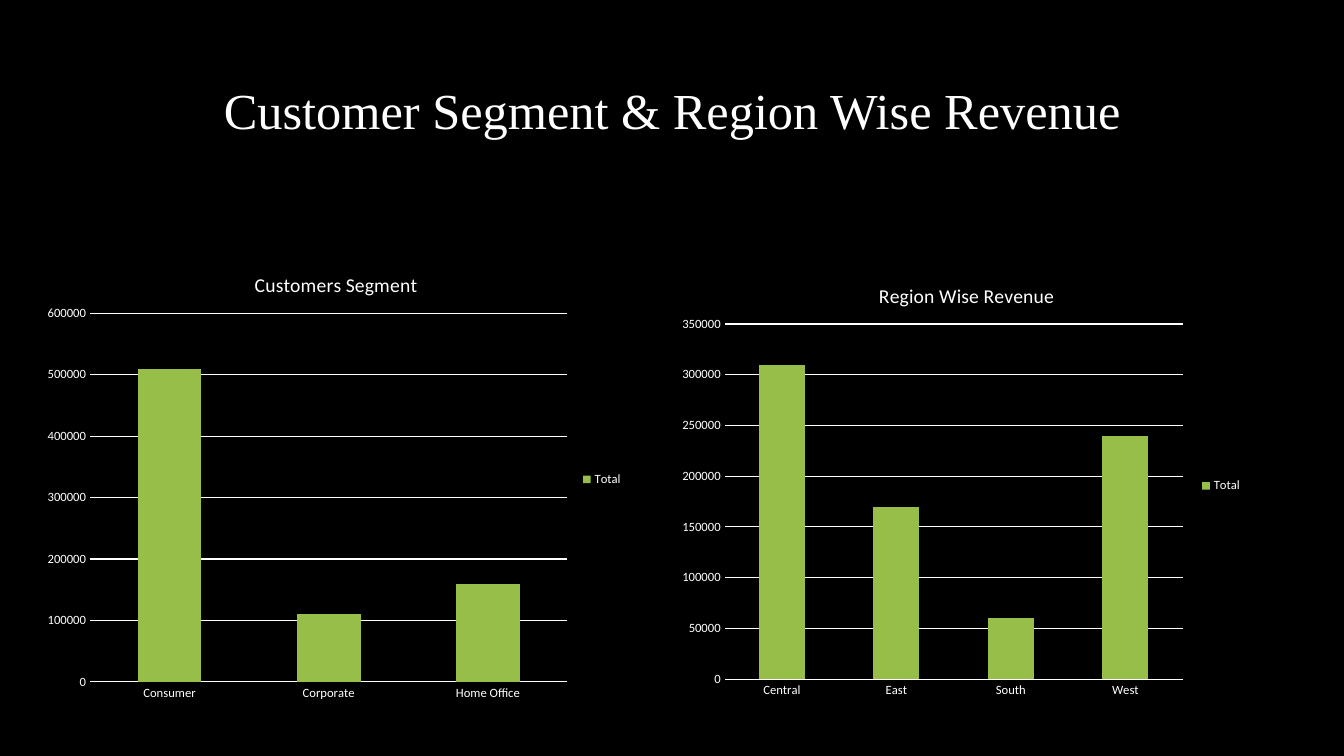
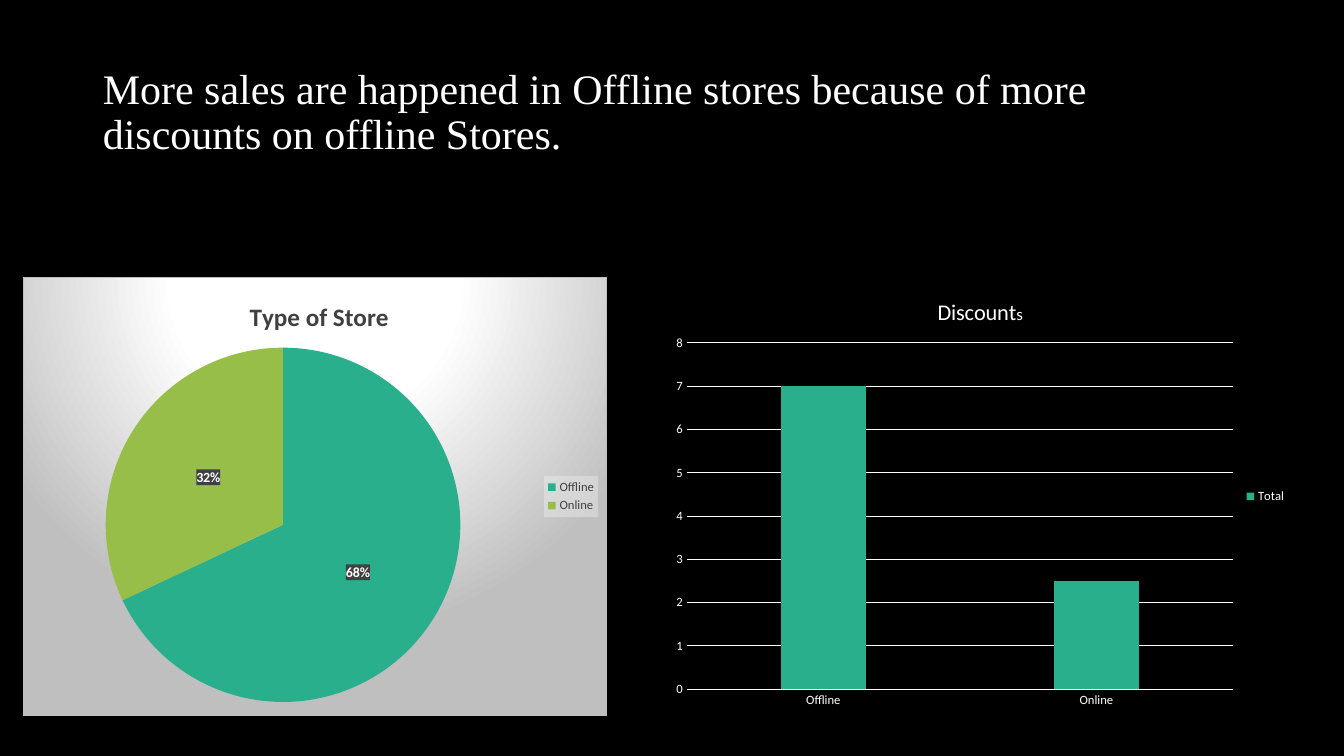
"""Build two dark slides that chart revenue, store types and discounts."""
import pptx
import pptx.util
import pptx.chart.data
import pptx.dml.color
import pptx.enum.chart
import pptx.enum.text
import pptx.oxml
import pptx.oxml.ns

Pt, Inch = pptx.util.Pt, pptx.util.Inches
Kind = pptx.enum.chart.XL_CHART_TYPE
Align = pptx.enum.text.PP_ALIGN
qn = pptx.oxml.ns.qn
SPACE = pptx.oxml.ns.nsdecls("c", "a")

HUES = {"black": "000000", "white": "FFFFFF", "lime": "97BE49", "teal": "29AF8C",
        "dark": "404040", "pale": "F2F2F2", "grey": "BFBFBF"}
BODY, HEAD = "Calibri", "Times New Roman"

SLIDES = [
    {"title": "Customer Segment & Region Wise Revenue", "size": 36, "align": Align.CENTER,
     "charts": [
         {"kind": Kind.COLUMN_STACKED, "box": (0.36, 2.47, 5.92, 4.57),
          "title": [("Customers Segment", 14)], "spot": (0.36, 0.04),
          "plot": (0.09, 0.14, 0.8, 0.8), "hue": "lime", "gap": 150, "lap": 100,
          "top": 600000, "step": 100000,
          "data": {"Consumer": 510000, "Corporate": 110000, "Home Office": 160000}},
         {"kind": Kind.COLUMN_CLUSTERED, "box": (6.67, 2.59, 5.75, 4.46),
          "title": [("Region Wise Revenue", 14)], "spot": (0.35, 0.04),
          "plot": (0.09, 0.14, 0.79, 0.79), "hue": "lime", "gap": 150, "lap": 0,
          "top": 350000, "step": 50000,
          "data": {"Central": 310000, "East": 170000, "South": 60000, "West": 240000}},
     ]},
    {"title": "More sales are happened in Offline stores because of more "
              "discounts on offline Stores.", "size": 30, "align": Align.LEFT,
     "charts": [
         {"kind": Kind.PIE, "box": (0.23, 2.75, 5.79, 4.35),
          "title": [("Type of Store", 18)], "spot": (0.38, 0.04),
          "plot": (0.14, 0.16, 0.61, 0.81), "hues": ("teal", "lime"),
          "data": {"Offline": 68, "Online": 32}},
         {"kind": Kind.COLUMN_CLUSTERED, "box": (6.56, 2.75, 6.3, 4.35),
          "title": [("Discount", 16), ("s", 12)], "spot": (0.43, 0.04),
          "plot": (0.04, 0.15, 0.86, 0.79), "hue": "teal", "gap": 219, "lap": -27,
          "top": 8, "step": 1, "data": {"Offline": 7, "Online": 2.5}},
     ]},
]


def rgb(hue):
    """Return the named colour."""
    return pptx.dml.color.RGBColor.from_string(HUES[hue])


def style(font, size, hue="white", face=BODY, bold=False):
    """Set the face, size and colour of a font."""
    font.name, font.size, font.bold = face, Pt(size), bold
    font.color.rgb = rgb(hue)


def paint(part, fill):
    """Put a shape fill in front of the text properties of a chart part."""
    node = pptx.oxml.parse_xml(f"<c:spPr {SPACE}>{fill}</c:spPr>")
    part.find(qn("c:txPr")).addprevious(node)


def glass(hue, alpha):
    """Return a see-through solid fill."""
    return (f'<a:solidFill><a:srgbClr val="{HUES[hue]}">'
            f'<a:alpha val="{alpha * 1000}"/></a:srgbClr></a:solidFill>')


def glow():
    """Return the round gradient and border of the pie panel."""
    stops = "".join(f'<a:gs pos="{pos * 1000}"><a:srgbClr val="{HUES[hue]}"/></a:gs>'
                    for pos, hue in ((0, "white"), (39, "white"), (100, "grey")))
    return (f'<a:gradFill><a:gsLst>{stops}</a:gsLst><a:path path="circle">'
            '<a:fillToRect l="50000" t="-80000" r="50000" b="180000"/></a:path></a:gradFill>'
            f'<a:ln w="9525"><a:solidFill><a:srgbClr val="{HUES["grey"]}"/></a:solidFill></a:ln>')


def place(part, spot, index, inner=False):
    """Give a chart part a fixed place, in shares of the chart."""
    for old in part.findall(qn("c:layout")):
        part.remove(old)
    target = '<c:layoutTarget val="inner"/>' if inner else ""
    modes = "".join(f'<c:{key}Mode val="edge"/>' for key in "xy")
    sides = "".join(f'<c:{key} val="{val}"/>' for key, val in zip("xywh", spot))
    part.insert(index, pptx.oxml.parse_xml(
        f"<c:layout {SPACE}><c:manualLayout>{target}{modes}{sides}"
        "</c:manualLayout></c:layout>"))


def bars(chart, item):
    """Format the columns, axes and grid."""
    plot = chart.plots[0]
    plot.gap_width, plot.overlap, plot.vary_by_categories = item["gap"], item["lap"], False
    fill = plot.series[0].format.fill
    fill.solid()
    fill.fore_color.rgb = rgb(item["hue"])
    for axis in (chart.category_axis, chart.value_axis):
        axis.major_tick_mark = axis.minor_tick_mark = pptx.enum.chart.XL_TICK_MARK.NONE
        axis.format.line.fill.background()
        style(axis.tick_labels.font, 9)
    axis.minimum_scale, axis.maximum_scale, axis.major_unit = 0, item["top"], item["step"]
    axis.has_major_gridlines = True
    line = axis.major_gridlines.format.line
    line.width, line.color.rgb = Pt(0.75), rgb("white")


def pie(chart, item):
    """Format the slices and their labels."""
    plot = chart.plots[0]
    for index, hue in enumerate(item["hues"]):
        fill = plot.series[0].points[index].format.fill
        fill.solid()
        fill.fore_color.rgb = rgb(hue)
    plot.has_data_labels = True
    tags = plot.data_labels
    tags.show_percentage, tags.show_value = True, False
    tags.number_format, tags.number_format_is_linked = "0%", False
    tags.position = pptx.enum.chart.XL_LABEL_POSITION.CENTER
    style(tags.font, 10, bold=True)
    paint(tags._element, glass("dark", 75))


def draw(slide, item):
    """Add one chart with its title and legend."""
    data = pptx.chart.data.CategoryChartData()
    data.categories = list(item["data"])
    round_ = item["kind"] == Kind.PIE
    data.add_series("Series 1" if round_ else "Total", item["data"].values())
    box = map(Inch, item["box"])
    chart = slide.shapes.add_chart(item["kind"], *box, data).chart
    ink = "dark" if round_ else "white"
    style(chart.font, 10)
    paint(chart._chartSpace, glow() if round_ else "<a:noFill/>")
    para = chart.chart_title.text_frame.paragraphs[0]
    for text, size in item["title"]:
        run = para.add_run()
        run.text = text
        style(run.font, size, ink, bold=round_)
    place(chart.chart_title._element, item["spot"], 1)
    place(chart._chartSpace.chart.plotArea, item["plot"], 0, True)
    chart.has_legend = True
    key = chart.legend
    key.position = pptx.enum.chart.XL_LEGEND_POSITION.RIGHT
    key.include_in_layout = False
    style(key.font, 9, ink)
    if round_:
        paint(key._element, glass("pale", 39))
        pie(chart, item)
    else:
        bars(chart, item)


def head(slide, page):
    """Move and format the slide title."""
    title = slide.shapes.title
    title.left, title.top, title.width, title.height = map(Inch, (0.92, 0.4, 11.5, 1.45))
    frame = title.text_frame
    frame.text, frame.word_wrap = page["title"], True
    frame.auto_size = pptx.enum.text.MSO_AUTO_SIZE.NONE
    frame.vertical_anchor = pptx.enum.text.MSO_ANCHOR.MIDDLE
    para = frame.paragraphs[0]
    para.alignment, para.line_spacing = page["align"], 0.9
    style(para.font, page["size"], face=HEAD)


def main():
    """Build and save the deck."""
    deck = pptx.Presentation()
    deck.slide_width, deck.slide_height = Inch(13.33), Inch(7.5)
    back = deck.slide_master.background.fill
    back.solid()
    back.fore_color.rgb = rgb("black")
    for page in SLIDES:
        slide = deck.slides.add_slide(deck.slide_layouts[5])
        for item in page["charts"]:
            draw(slide, item)
        head(slide, page)
    deck.save("out.pptx")


if __name__ == "__main__":
    main()
